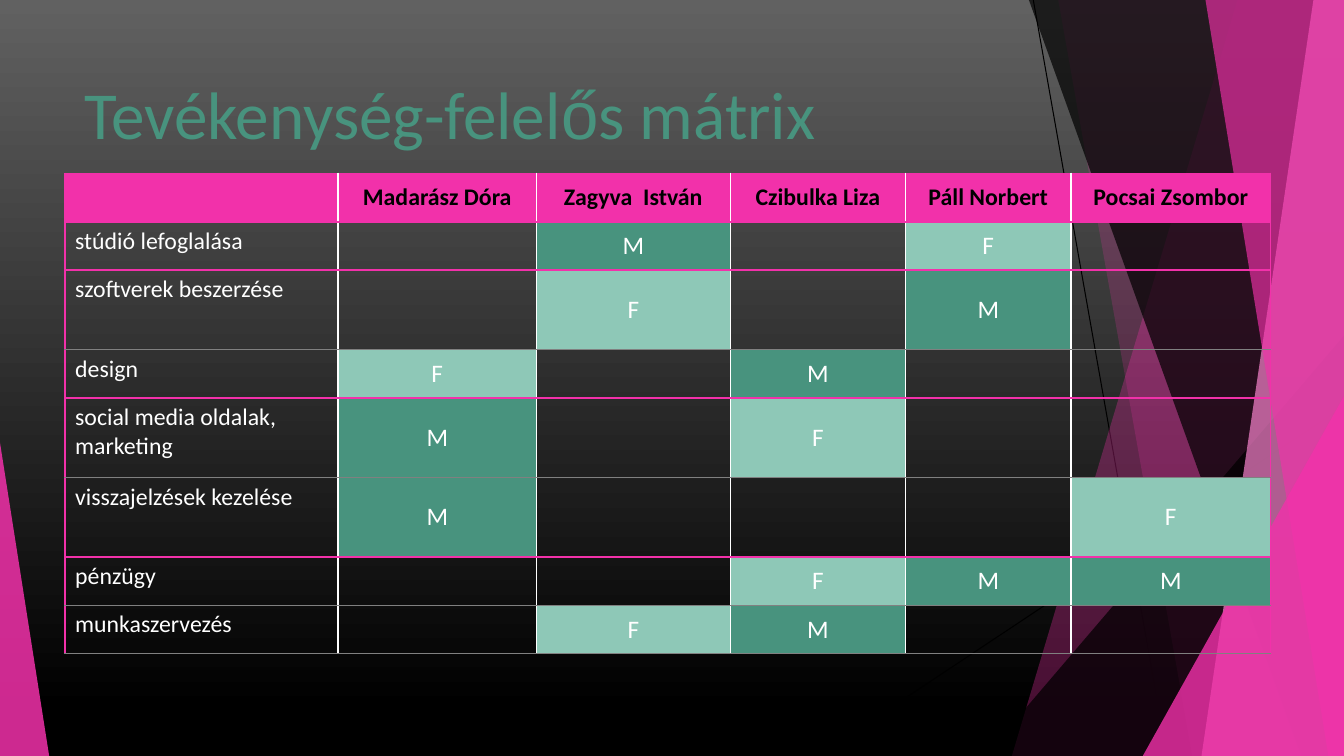
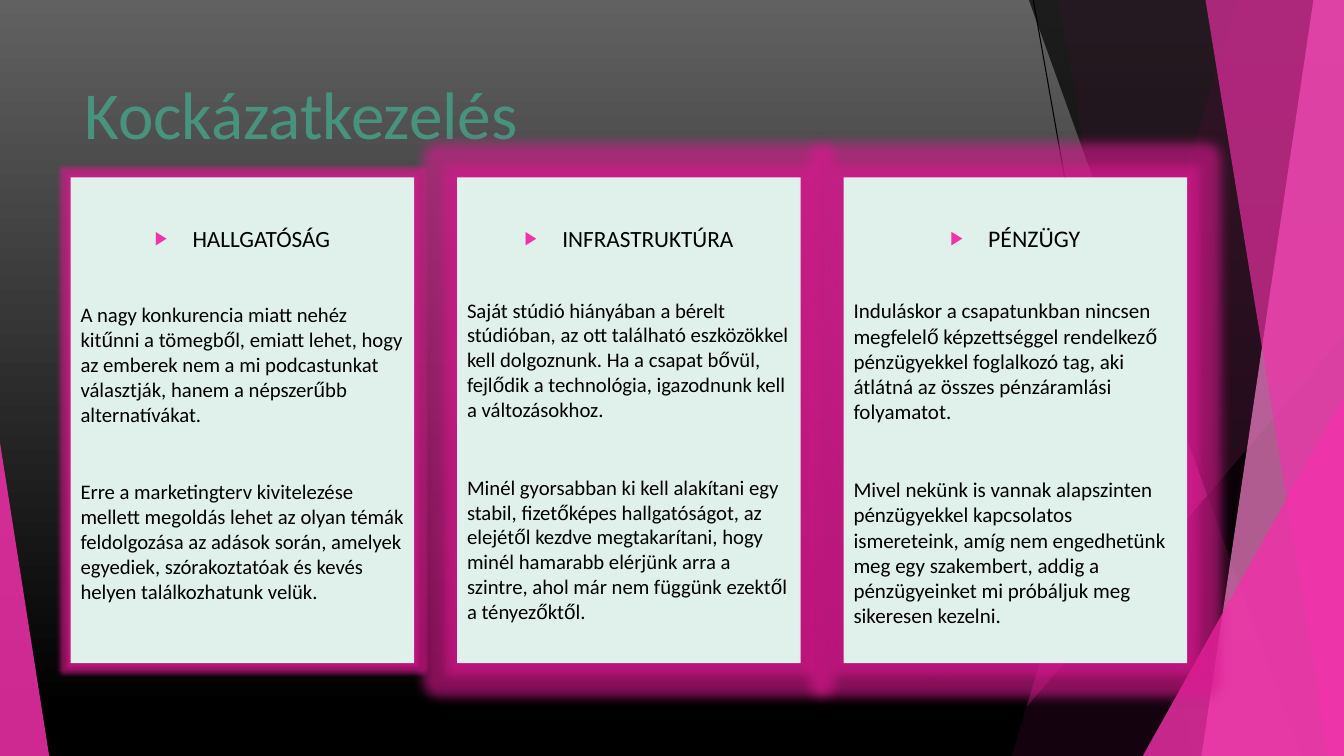
from dataclasses import dataclass
from itertools import groupby

from lxml.etree import SubElement
from pptx import Presentation
from pptx.dml.color import RGBColor
from pptx.enum.shapes import MSO_CONNECTOR, MSO_SHAPE
from pptx.enum.text import MSO_ANCHOR as ANCHOR, PP_ALIGN as ALIGN
from pptx.oxml.ns import qn
from pptx.util import Cm, Pt


@dataclass(frozen=True)
class Theme:
    pink: str = "F231AA"
    rose: str = "F783CC"
    glow: str = "DB1890"
    green: str = "48937E"
    mint: str = "8EC8B7"
    pale: str = "E0F0EB"
    grey: str = "616161"
    rule: str = "808080"
    black: str = "000000"
    white: str = "FFFFFF"
    font: str = "Calibri"
    accent_font: str = "Arial"
    title: float = 48
    label: float = 17
    mark: float = 18


theme = Theme()
WIDTH, HEIGHT = 33.87, 19.05


def write(paragraph, text, size, colour, bold=False):
    for accented, letters in groupby(text, lambda letter: letter in "őű"):
        run = paragraph.add_run()
        run.text = "".join(letters)
        run.font.name = theme.accent_font if accented else theme.font
        run.font.size = Pt(size)
        run.font.bold = bold
        run.font.color.rgb = RGBColor.from_string(colour)


def paint(shape, colour, alpha=100):
    shape.shadow.inherit = False
    shape.line.fill.background()
    shape.fill.solid()
    shape.fill.fore_color.rgb = RGBColor.from_string(colour)
    if alpha < 100:
        tone = shape._element.spPr.find(qn("a:solidFill"))[0]
        SubElement(tone, qn("a:alpha"), val=str(alpha * 1000))


deck = Presentation()
deck.slide_width, deck.slide_height = Cm(WIDTH), Cm(HEIGHT)

rays = [(26.04, 0, 29.41, HEIGHT), (WIDTH, 10.24, 20.62, HEIGHT)]
facets = [
    (theme.pink, 30, "band", (31.19, 25.5)),
    (theme.pink, 20, "band", (26.67, 30.05)),
    (theme.black, 72, "right", (24.82, 8.46)),
    (theme.black, 70, "band", (25.93, 32.79)),
    (theme.rose, 70, "band", (33.1, 30.28)),
    (theme.pink, 65, "band", (30.38, 33.48)),
    (theme.pink, 80, "right", (28.8, 9.98)),
    (theme.pink, 85, "left", (1.24, 11.15)),
]

slides = []
for title in ("Tevékenység-felelős mátrix", "Kockázatkezelés"):
    slide = deck.slides.add_slide(deck.slide_layouts[6])
    slides.append(slide)
    backdrop = slide.background.fill
    backdrop.gradient()
    backdrop.gradient_angle = 270
    for stop, position, colour in zip(
        backdrop.gradient_stops, (0, 0.94), (theme.grey, theme.black)
    ):
        stop.position = position
        stop.color.rgb = RGBColor.from_string(colour)

    for ends in rays:
        ray = slide.shapes.add_connector(MSO_CONNECTOR.STRAIGHT, *map(Cm, ends))
        ray.line.color.rgb = RGBColor.from_string(theme.black)
        ray.line.width = Pt(0.75)
        SubElement(ray._element.spPr, qn("a:effectLst"))

    for colour, alpha, side, (x, y) in facets:
        if side == "band":
            outline = slide.shapes.build_freeform(Cm(x), 0)
            corners = [(WIDTH, 0), (WIDTH, HEIGHT), (y, HEIGHT)]
            outline.add_line_segments([(Cm(a), Cm(b)) for a, b in corners])
            facet = outline.convert_to_shape()
        else:
            left, right = (x, WIDTH) if side == "right" else (0, x)
            facet = slide.shapes.add_shape(
                MSO_SHAPE.ISOSCELES_TRIANGLE,
                Cm(left), Cm(y), Cm(right - left), Cm(HEIGHT - y),
            )
            facet.adjustments[0] = 1 if side == "right" else 0
        paint(facet, colour, alpha)

    heading = slide.shapes.add_textbox(Cm(1.88), Cm(1.7), Cm(23.88), Cm(2.3))
    heading.text_frame.word_wrap = True
    write(heading.text_frame.paragraphs[0], title, theme.title, theme.green)

matrix_slide, risk_slide = slides

people = ["", "Madarász Dóra", "Zagyva  István", "Czibulka Liza", "Páll Norbert", "Pocsai Zsombor"]
tasks = [
    ("stúdió lefoglalása", "-M-F-", 1.22),
    ("szoftverek beszerzése", "-F-M-", 2),
    ("design", "F-M--", 1.22),
    ("social media oldalak, marketing", "M-F--", 2),
    ("visszajelzések kezelése", "M---F", 2),
    ("pénzügy", "--FMM", 1.22),
    ("munkaszervezés", "-FM--", 1.22),
]
column_widths = [6.88, 5, 4.88, 4.42, 4.17, 5.03]
row_heights = [1.22] + [height for _, _, height in tasks]
grid = [people] + [[task, *marks] for task, marks, _ in tasks]
mark_fills = {"M": theme.green, "F": theme.mint}

matrix = matrix_slide.shapes.add_table(
    len(grid), len(people), Cm(1.64), Cm(4.37), Cm(sum(column_widths)), Cm(sum(row_heights))
).table
matrix.first_row = matrix.horz_banding = False
for column, width in zip(matrix.columns, column_widths):
    column.width = Cm(width)
for row, height in zip(matrix.rows, row_heights):
    row.height = Cm(height)

pink_rule, white_rule, grey_rule = (theme.pink, 1.25), (theme.white, 1), (theme.rule, 0.5)
row_rules = [pink_rule, pink_rule] + [pink_rule, grey_rule] * 3 + [grey_rule]
last_column = len(people) - 1
for r, entries in enumerate(grid):
    for c, entry in enumerate(entries):
        cell = matrix.cell(r, c)
        borders = {
            "a:lnL": white_rule if c else pink_rule,
            "a:lnR": white_rule if c < last_column else pink_rule,
            "a:lnT": row_rules[r],
            "a:lnB": row_rules[r + 1],
        }
        for edge, (colour, weight) in borders.items():
            border = SubElement(cell._tc.get_or_add_tcPr(), qn(edge), w=str(Pt(weight)))
            SubElement(SubElement(border, qn("a:solidFill")), qn("a:srgbClr"), val=colour)

        fill_colour = mark_fills.get(entry) if r else theme.pink
        if fill_colour:
            cell.fill.solid()
            cell.fill.fore_color.rgb = RGBColor.from_string(fill_colour)
        else:
            cell.fill.background()

        paragraph = cell.text_frame.paragraphs[0]
        if r == 0 or c:
            cell.vertical_anchor = ANCHOR.MIDDLE
            paragraph.alignment = ALIGN.CENTER
        if entry not in ("", "-"):
            size = theme.mark if r and c else theme.label
            write(paragraph, entry, size, theme.white if r else theme.black, bold=r == 0)

risks = [
    ("HALLGATÓSÁG", 16.6, 14.8, 35.7, 5, [
        "A nagy konkurencia miatt nehéz kitűnni a tömegből, emiatt lehet, hogy az emberek "
        "nem a mi podcastunkat választják, hanem a népszerűbb alternatívákat.",
        "Erre a marketingterv kivitelezése mellett megoldás lehet az olyan témák feldolgozása "
        "az adások során, amelyek egyediek, szórakoztatóak és kevés helyen találkozhatunk velük.",
    ]),
    ("INFRASTRUKTÚRA", 16.6, 14.8, 32.4, 16, [
        "Saját stúdió hiányában a bérelt stúdióban, az ott található eszközökkel kell dolgoznunk. "
        "Ha a csapat bővül, fejlődik a technológia, igazodnunk kell a változásokhoz.",
        "Minél gyorsabban ki kell alakítani egy stabil, fizetőképes hallgatóságot, az elejétől "
        "kezdve megtakarítani, hogy minél hamarabb elérjünk arra a szintre, ahol már nem függünk "
        "ezektől a tényezőktől.",
    ]),
    ("PÉNZÜGY", 17, 15, 32.2, 16, [
        "Induláskor a csapatunkban nincsen megfelelő képzettséggel rendelkező pénzügyekkel "
        "foglalkozó tag, aki átlátná az összes pénzáramlási folyamatot.",
        "Mivel nekünk is vannak alapszinten pénzügyekkel kapcsolatos ismereteink, amíg nem "
        "engedhetünk meg egy szakembert, addig a pénzügyeinket mi próbáljuk meg sikeresen kezelni.",
    ]),
]
for i, (name, name_size, body_size, first_gap, glow_radius, body) in enumerate(risks):
    card = risk_slide.shapes.add_shape(
        MSO_SHAPE.RECTANGLE, Cm(1.78 + 9.74 * i), Cm(4.47), Cm(8.66), Cm(12.24)
    )
    paint(card, theme.pale)
    effects = card._element.spPr.find(qn("a:effectLst"))
    glow = SubElement(effects, qn("a:glow"), rad=str(Pt(glow_radius)))
    glow_colour = SubElement(glow, qn("a:srgbClr"), val=theme.glow)
    SubElement(glow_colour, qn("a:alpha"), val="60000")

    frame = card.text_frame
    frame.word_wrap = True
    frame.vertical_anchor = ANCHOR.TOP
    frame.margin_top = Cm(1.18)
    caption = frame.paragraphs[0]
    caption.alignment = ALIGN.CENTER
    bullet = caption._p.get_or_add_pPr()
    bullet.set("marL", str(Cm(0.95)))
    bullet.set("indent", str(-Cm(0.95)))
    SubElement(SubElement(bullet, qn("a:buClr")), qn("a:srgbClr"), val=theme.pink)
    SubElement(bullet, qn("a:buSzPct"), val="80000")
    SubElement(bullet, qn("a:buFont"), typeface=theme.accent_font)
    SubElement(bullet, qn("a:buChar"), char="▶")
    write(caption, name, name_size, theme.black)

    for gap, text in zip((first_gap, 37.8), body):
        paragraph = frame.add_paragraph()
        paragraph.alignment = ALIGN.LEFT
        paragraph.space_before = Pt(gap)
        write(paragraph, text, body_size, theme.black)

deck.save("out.pptx")
